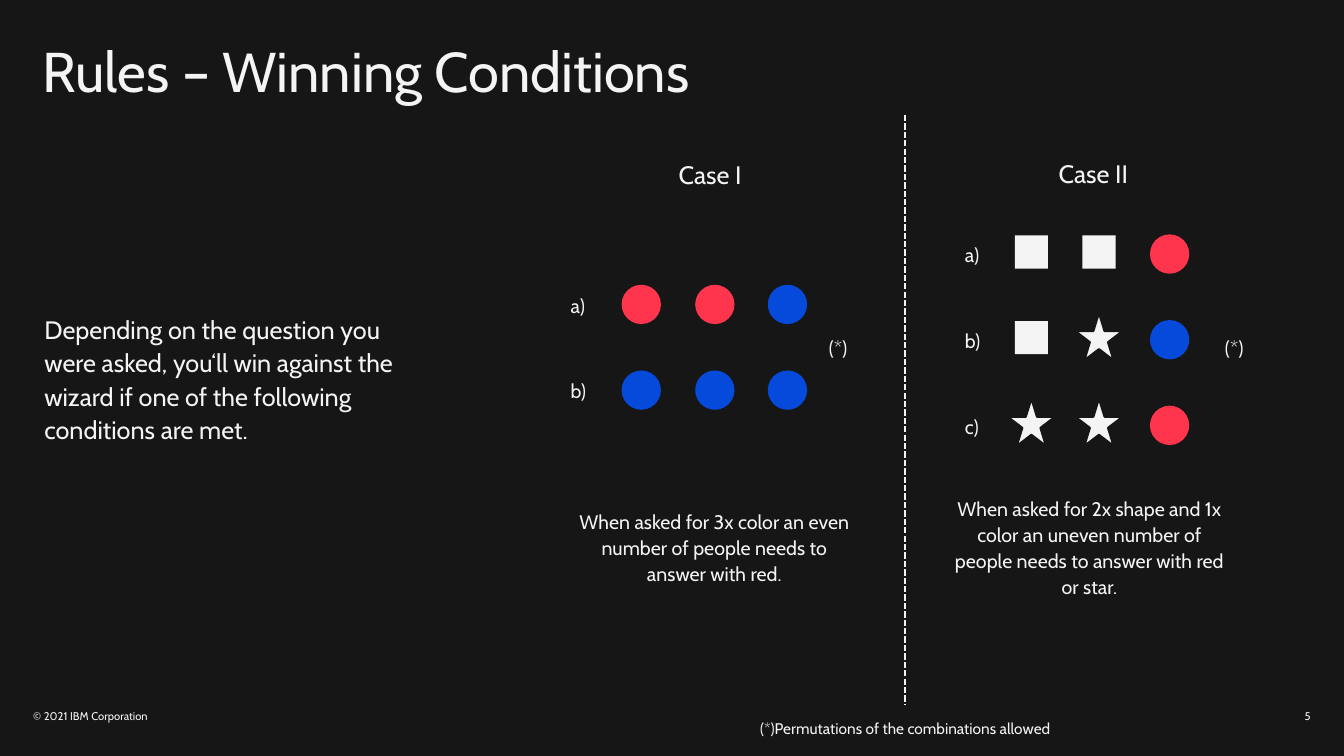
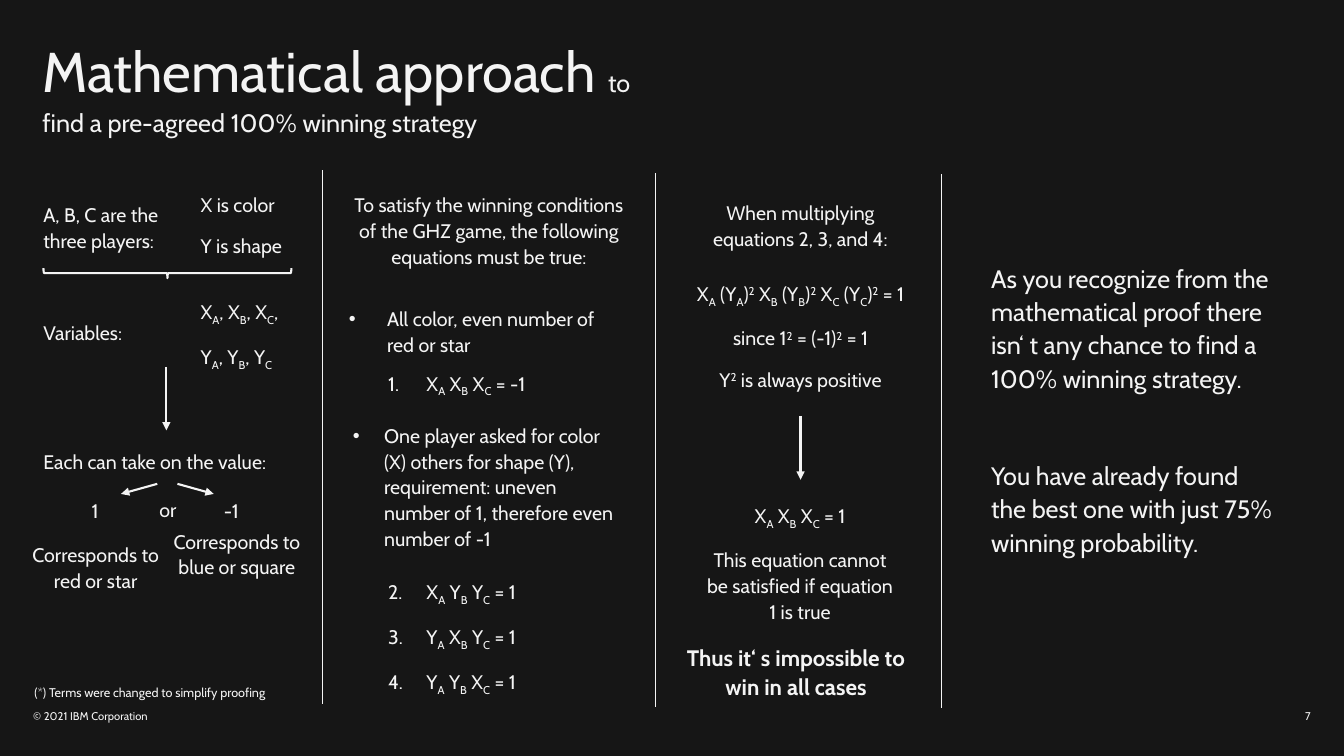
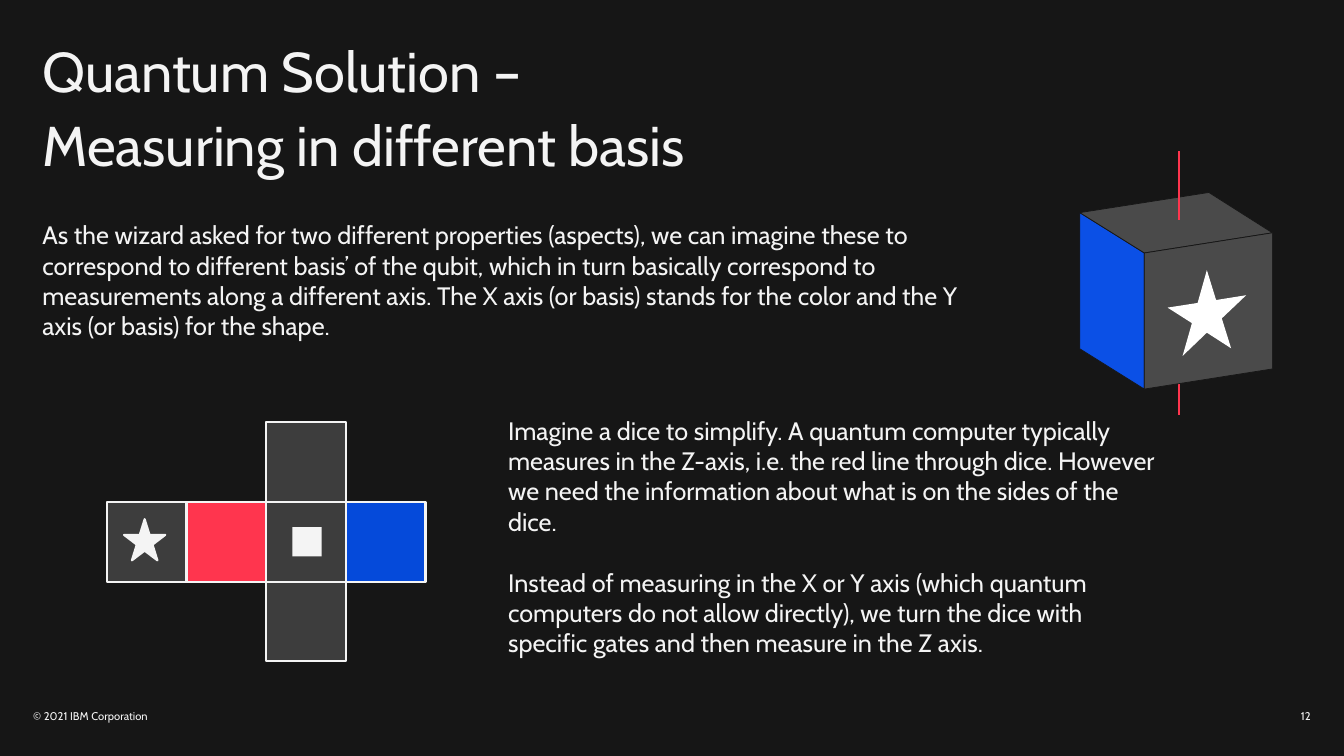
from math import cos, pi, sin

from lxml import etree
from pptx import Presentation
from pptx.dml.color import RGBColor
from pptx.enum import dml, shapes, text
from pptx.oxml import ns
from pptx.util import Inches, Pt

FONT = "Cabin"
DARK, LIGHT, RED, BLUE, GREY = "161616", "F4F4F4", "FF354E", "054ADA", "3D3D3D"
LEFT, CENTER, RIGHT = text.PP_ALIGN.LEFT, text.PP_ALIGN.CENTER, text.PP_ALIGN.RIGHT
TOP, MIDDLE = text.MSO_ANCHOR.TOP, text.MSO_ANCHOR.MIDDLE
RECTANGLE, ELLIPSE, STAR, BRACE = (
    shapes.MSO_SHAPE.RECTANGLE, shapes.MSO_SHAPE.OVAL,
    shapes.MSO_SHAPE.STAR_5_POINT, shapes.MSO_SHAPE.RIGHT_BRACE)
COPYRIGHT = "© 2021 IBM Corporation"

# Text boxes: (left, top, width, height), paragraphs, format.
# In paragraphs, _ lowers and ^ raises the next character.
RULES_BODY = ((0.44, 3.09, 3.67, 1.31), [
    "Depending on the question you were asked, you‘ll win against the wizard "
    "if one of the following conditions are met."], {"size": 18})
RULES_TEXTS = [
    ((6.73, 1.55, 1, 0.31), ["Case I"], {"size": 18}),
    ((10.5, 1.54, 1, 0.31), ["Case II"], {"size": 18}),
    ((5.73, 5.04, 2.71, 0.76),
     ["When asked for 3x color an even number of people needs to answer with red."],
     {"align": CENTER}),
    ((9.45, 4.91, 2.71, 1.02),
     ["When asked for 2x shape and 1x color an uneven number of people needs "
      "to answer with red or star."], {"align": CENTER}),
    ((6.96, 7.12, 4.04, 0.19), ["(*)Permutations of the combinations allowed"],
     {"size": 11, "align": CENTER}),
    ((8.22, 3.31, 0.4, 0.24), ["(*)"], {}),
    ((12.15, 3.31, 0.4, 0.24), ["(*)"], {}),
]
# Token: preset, size, vertical shift, fill, outline
TOKENS = {
    "red": (ELLIPSE, 0.39, 0, RED, None),
    "blue": (ELLIPSE, 0.39, 0, BLUE, None),
    "square": (RECTANGLE, 0.33, -0.02, LIGHT, None),
    "star": (STAR, 0.47, -0.03, LIGHT, DARK),
}
ROW_PITCH = 0.85
CASES = [
    {"label_left": 5.66, "first_row": 3.02, "columns": (6.36, 7.09, 7.81),
     "rows": [("red", "red", "blue"), ("blue", "blue", "blue")]},
    {"label_left": 9.57, "first_row": 2.52, "columns": (10.23, 10.9, 11.6),
     "rows": [("square", "square", "red"), ("square", "star", "blue"),
              ("star", "star", "red")]},
]

FIRST_BULLET = {"bullet": "•", "indent": (0.38, -0.38)}
SECOND_BULLET = {"bullet": "•", "indent": (0.35, -0.31), "before": 16.5}
EQUATION = {"indent": (0.77, -0.38), "level": 1}
FROM_TWO = {**EQUATION, "start": 2}
MATH_BODY = ((3.46, 3.02, 2.66, 3.95), [
    ("All color, even number of red or star", FIRST_BULLET),
    ("X_A X_B X_C = -1", {**EQUATION, "start": 1, "before": 9}),
    ("One player asked for color (X) others for shape (Y), requirement: uneven "
     "number of 1, therefore even number of -1", SECOND_BULLET),
    ("X_A Y_B Y_C = 1", {**FROM_TWO, "before": 19}),
    ("Y_A X_B Y_C = 1", FROM_TWO),
    ("Y_A Y_B X_C = 1", FROM_TWO)], {})
MATH_TEXTS = [
    ((0.43, 1.99, 1.54, 0.5), ["A, B, C are the three players:"], {}),
    ((1.99, 1.89, 1.1, 0.66), ["X is color", "Y is shape"], {}),
    ((1.99, 2.95, 1.1, 0.66), ["X_A, X_B, X_C,", "Y_A, Y_B, Y_C"], {}),
    ((0.43, 3.16, 1.2, 0.24), ["Variables:"], {}),
    ((0.43, 4.44, 2.44, 0.24), ["Each can take on the value:"], {}),
    ((0.91, 4.93, 0.32, 0.24), ["1"], {}),
    ((1.58, 4.92, 0.3, 0.24), ["or"], {}),
    ((2.22, 4.93, 0.3, 0.24), ["-1"], {}),
    ((0.32, 5.36, 1.26, 0.5), ["Corresponds to red or star"], {"align": CENTER}),
    ((1.72, 5.23, 1.26, 0.76), ["Corresponds to blue or square"], {"align": CENTER}),
    ((0.34, 6.78, 2.86, 0.16), ["(*) Terms were changed to simplify proofing"],
     {"size": 9}),
    ((3.44, 1.89, 2.82, 0.76),
     ["To satisfy the winning conditions of the GHZ game, the following "
      "equations must be true:"], {"align": CENTER}),
    ((6.86, 1.97, 2.16, 0.5), ["When multiplying equations 2, 3, and 4:"],
     {"align": CENTER}),
    ((6.74, 2.77, 2.4, 1.07),
     ["X_A (Y_A)^2 X_B (Y_B)^2 X_C (Y_C)^2 = 1", "since 1^2 = (-1)^2 = 1",
      "Y^2 is always positive"], {"align": CENTER}),
    ((6.99, 4.97, 1.89, 1.18),
     ["X_A X_B X_C = 1", "This equation cannot be satisfied if equation 1 is true"],
     {"align": CENTER}),
    ((6.74, 6.36, 2.31, 0.58), ["Thus it‘ s impossible to win in all cases"],
     {"size": 16, "align": CENTER, "bold": True}),
    ((9.83, 2.58, 2.83, 3.29),
     ["As you recognize from the mathematical proof there isn‘ t any chance to "
      "find a 100% winning strategy.",
      ("You have already found the best one with just 75% winning probability.",
       {"before": 46})], {"size": 18}),
]
COLUMN_RULES = [(3.2, 1.69), (6.5, 1.72), (9.34, 1.73)]
RULE_HEIGHT = 5.29
ARROWS = [(1.65, 3.64, 1.65, 4.27), (1.56, 4.8, 1.2, 4.9),
          (1.76, 4.8, 2.12, 4.9), (7.94, 4.13, 7.94, 4.76)]

DICE_BODY = ((0.42, 2.18, 9.16, 1.52), [
    "As the wizard asked for two different properties (aspects), we can imagine "
    "these to correspond to different basis’ of the qubit, which in turn basically "
    "correspond to measurements along a different axis. The X axis (or basis) "
    "stands for the color and the Y axis (or basis) for the shape."],
    {"size": 18, "spacing": 1.0})
DICE_TEXTS = [((5.04, 4.12, 6.47, 2.42), [
    "Imagine a dice to simplify. A quantum computer typically measures in the "
    "Z-axis, i.e. the red line through dice. However we need the information "
    "about what is on the sides of the dice.",
    ("Instead of measuring in the X or Y axis (which quantum computers do not "
     "allow directly), we turn the dice with specific gates and then measure in "
     "the Z axis.", {"before": 22})], {"size": 18, "spacing": 1.0})]
NET_LEFT, NET_TOP, CELL = 1.06, 4.19, 0.79
NET_CELLS = [(2, 0, GREY), (2, 1, GREY), (2, 2, GREY), (0, 1, GREY),
             (3, 1, BLUE), (1, 1, RED)]
CUBE_GREY, CUBE_BLUE = "4A4A4A", "0B50E6"
NEAR, WEST, EAST, BACK = (11.35, 2.51), (10.71, 2.11), (12.62, 2.31), (11.99, 1.91)
CUBE_HEIGHT = 1.35
AXIS_X = 11.69


def color(value):
    return RGBColor.from_string(value)


def write_runs(paragraph, content, size, bold):
    baseline, plain = None, ""
    pieces = []
    for character in content:
        if character in "_^":
            pieces.append((plain, None))
            plain, baseline = "", {"_": "-25000", "^": "30000"}[character]
        elif baseline:
            pieces.append((character, baseline))
            baseline = None
        else:
            plain += character
    for piece, shift in pieces + [(plain, None)]:
        if not piece:
            continue
        run = paragraph.add_run()
        run.text = piece
        for name, value in {"name": FONT, "size": Pt(size), "bold": bold}.items():
            setattr(run.font, name, value)
        run.font.color.rgb = color(LIGHT)
        if shift:
            run._r.get_or_add_rPr().set("baseline", shift)


def set_bullet(paragraph, bullet=None, start=None, indent=(0, 0)):
    properties = paragraph._p.get_or_add_pPr()
    for name, value in zip(("marL", "indent"), indent):
        properties.set(name, str(Inches(value)))
    if bullet:
        etree.SubElement(properties, ns.qn("a:buChar"), char=bullet)
    elif start:
        etree.SubElement(properties, ns.qn("a:buAutoNum"),
                         type="arabicPeriod", startAt=str(start))
    else:
        etree.SubElement(properties, ns.qn("a:buNone"))


def place(shape, box):
    for name, value in zip(("left", "top", "width", "height"), box):
        setattr(shape, name, Inches(value))


def fill_text(shape, box, paragraphs, size=14, align=LEFT, bold=False,
              spacing=1.1, anchor=TOP):
    """Write paragraphs: a string, (string, format), or a list of (string, size)."""
    place(shape, box)
    frame = shape.text_frame
    settings = {"word_wrap": True, "auto_size": text.MSO_AUTO_SIZE.NONE,
                "vertical_anchor": anchor, "margin_left": 0, "margin_top": 0,
                "margin_right": 0, "margin_bottom": 0}
    for name, value in settings.items():
        setattr(frame, name, value)
    for index, item in enumerate(paragraphs):
        content, options = item if isinstance(item, tuple) else (item, {})
        options = dict(options)
        before = options.pop("before", 11) if index else 0
        paragraph = frame.add_paragraph() if index else frame.paragraphs[0]
        paragraph.level = options.pop("level", 0)
        set_bullet(paragraph, **options)
        layout = {"alignment": align, "line_spacing": spacing,
                  "space_before": Pt(before), "space_after": Pt(0)}
        for name, value in layout.items():
            setattr(paragraph, name, value)
        runs = content if isinstance(content, list) else [(content, size)]
        for piece, piece_size in runs:
            write_runs(paragraph, piece, piece_size, bold)


def add_text(slide, box, paragraphs, options):
    shape = slide.shapes.add_textbox(0, 0, 0, 0)
    fill_text(shape, box, paragraphs, **options)


def paint(shape, fill=None, line=None, width=1.5):
    shape.shadow.inherit = False
    if fill:
        shape.fill.solid()
        shape.fill.fore_color.rgb = color(fill)
    else:
        shape.fill.background()
    if line:
        shape.line.color.rgb = color(line)
        shape.line.width = Pt(width)
    else:
        shape.line.fill.background()


def add_shape(slide, preset, box, fill=None, line=None):
    shape = slide.shapes.add_shape(preset, *map(Inches, box))
    paint(shape, fill, line)
    return shape


def add_line(slide, ends, line=LIGHT, width=1.5, dash=None, arrow=False):
    connector = slide.shapes.add_connector(
        shapes.MSO_CONNECTOR.STRAIGHT, *map(Inches, ends))
    connector.line.color.rgb = color(line)
    connector.line.width = Pt(width)
    if dash:
        connector.line.dash_style = dash
    if arrow:
        etree.SubElement(connector.line._get_or_add_ln(), ns.qn("a:tailEnd"),
                         type="triangle")
    etree.SubElement(connector._element.spPr, ns.qn("a:effectLst"))


def add_polygon(slide, points, fill, line=None):
    points = [tuple(map(Inches, point)) for point in points]
    builder = slide.shapes.build_freeform(*points[0])
    builder.add_line_segments(points[1:], close=True)
    paint(builder.convert_to_shape(), fill, line, 0.5)


def add_slide(presentation, number, title, title_width, body, texts):
    slide = presentation.slides.add_slide(presentation.slide_layouts[1])
    fill_text(slide.shapes.title, (0.42, 0.3, title_width, 1.34), [title], size=40)
    box, paragraphs, options = body
    fill_text(slide.placeholders[1], box, paragraphs, **options)
    footer = {"size": 8, "spacing": 1.0, "anchor": MIDDLE}
    add_text(slide, (0.33, 6.98, 6, 0.24), [COPYRIGHT], footer)
    add_text(slide, (10.33, 6.98, 2.67, 0.24), [str(number)],
             {**footer, "align": RIGHT})
    for entry in texts:
        add_text(slide, *entry)
    return slide


def add_rules_slide(presentation):
    slide = add_slide(presentation, 5, "Rules – Winning Conditions", 7.2,
                      RULES_BODY, RULES_TEXTS)
    add_line(slide, (8.98, 1.14, 8.98, 6.99), dash=dml.MSO_LINE.SQUARE_DOT)
    for case in CASES:
        for index, row in enumerate(case["rows"]):
            middle = case["first_row"] + index * ROW_PITCH
            add_text(slide, (case["label_left"], middle - 0.13, 0.35, 0.24),
                     ["abc"[index] + ")"], {})
            for center, token in zip(case["columns"], row):
                preset, size, shift, fill, line = TOKENS[token]
                add_shape(slide, preset, (center - size / 2,
                                          middle + shift - size / 2, size, size),
                          fill, line)


def add_math_slide(presentation):
    title = [("Mathematical approach ", 40),
             ("to find a pre-agreed 100% winning strategy", 18)]
    slide = add_slide(presentation, 7, title, 6.02, MATH_BODY, MATH_TEXTS)
    add_shape(slide, BRACE, (1.61, 1.48, 0.1, 2.46), line=LIGHT).rotation = 90
    for left, top in COLUMN_RULES:
        add_line(slide, (left, top, left, top + RULE_HEIGHT), width=0.5)
    for ends in ARROWS:
        add_line(slide, ends, arrow=True)


def add_cube(slide):
    def lower(point):
        return point[0], point[1] + CUBE_HEIGHT

    add_line(slide, (AXIS_X, 1.5, AXIS_X, 4.12), RED)
    for points, fill in [
            ((WEST, NEAR, lower(NEAR), lower(WEST)), CUBE_BLUE),
            ((WEST, BACK, EAST, NEAR), CUBE_GREY),
            ((NEAR, EAST, lower(EAST), lower(NEAR)), CUBE_GREY)]:
        add_polygon(slide, points, fill, DARK)
    add_line(slide, (AXIS_X, 1.5, AXIS_X, 2.18), RED)

    slope = (EAST[1] - NEAR[1]) / (EAST[0] - NEAR[0])
    star = []
    for index in range(10):
        radius = 0.38 if index % 2 else 1
        across = 0.41 * radius * sin(index * pi / 5)
        down = -0.45 * radius * cos(index * pi / 5)
        star.append((11.97 + across, 3.13 + down + slope * across))
    add_polygon(slide, star, "FFFFFF")


def add_dice_slide(presentation):
    slide = add_slide(presentation, 12,
                      "Quantum Solution – Measuring in different basis", 7.14,
                      DICE_BODY, DICE_TEXTS)
    add_cube(slide)
    for column, row, fill in NET_CELLS:
        add_shape(slide, RECTANGLE, (NET_LEFT + column * CELL, NET_TOP + row * CELL,
                                     CELL, CELL), fill, LIGHT)
    add_shape(slide, STAR, (1.23, 5.15, 0.41, 0.41), LIGHT, LIGHT)
    add_shape(slide, RECTANGLE, (2.9, 5.23, 0.29, 0.29), LIGHT)


def main():
    presentation = Presentation()
    presentation.slide_width, presentation.slide_height = Inches(13.33), Inches(7.5)
    background = presentation.slide_master.background.fill
    background.solid()
    background.fore_color.rgb = color(DARK)
    add_rules_slide(presentation)
    add_math_slide(presentation)
    add_dice_slide(presentation)
    presentation.save("out.pptx")


if __name__ == "__main__":
    main()
